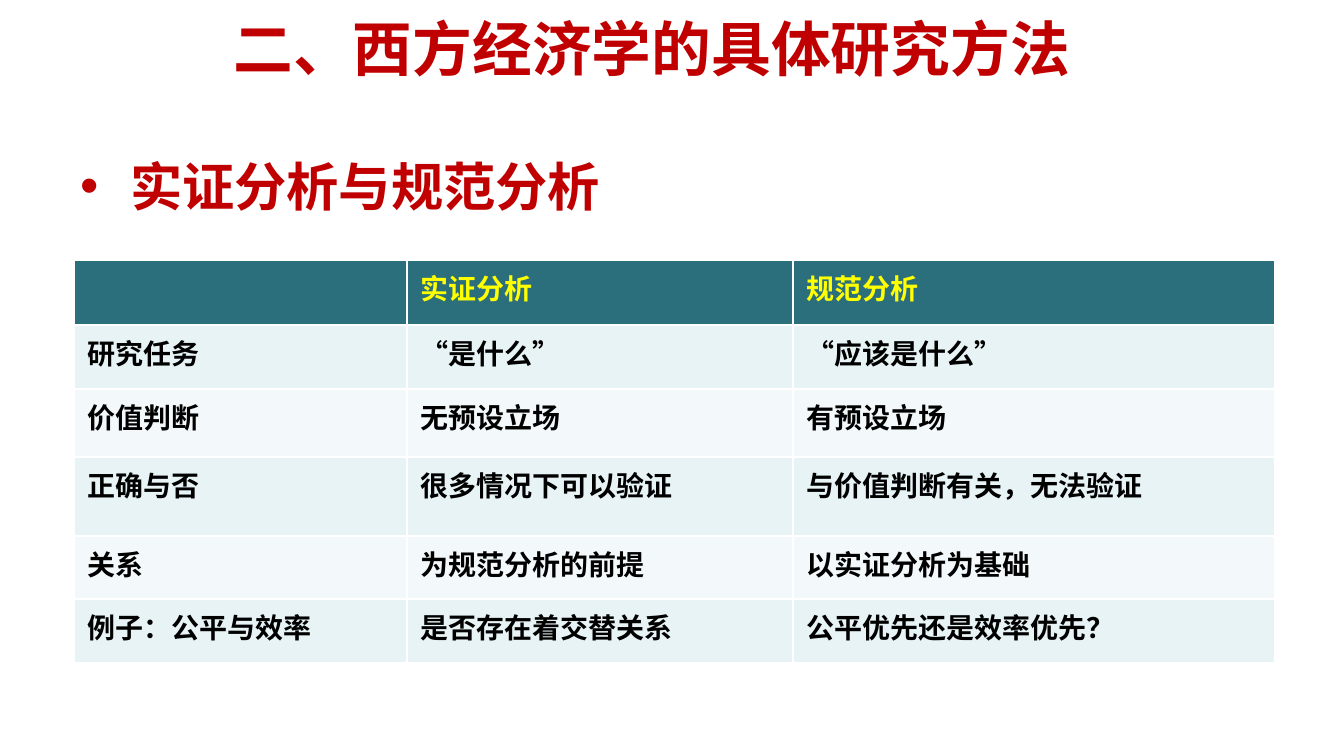
from pptx import Presentation
from pptx.dml.color import RGBColor
from pptx.enum.lang import MSO_LANGUAGE_ID
from pptx.enum.text import MSO_ANCHOR, PP_ALIGN
from pptx.oxml.ns import qn
from pptx.util import Pt
from lxml import etree

CENTER = PP_ALIGN.CENTER
TOP, MIDDLE = MSO_ANCHOR.TOP, MSO_ANCHOR.MIDDLE
CHINESE = MSO_LANGUAGE_ID.SIMPLIFIED_CHINESE

RED = RGBColor(0xC0, 0x00, 0x00)
YELLOW = RGBColor(0xFF, 0xFF, 0x00)
BLACK = RGBColor(0x00, 0x00, 0x00)
TEAL = RGBColor(0x2B, 0x6F, 0x7D)
BANDS = [RGBColor(0xE7, 0xF3, 0xF4), RGBColor(0xF3, 0xF9, 0xFA)]

HAN = "Noto Sans CJK SC"
COLS = [333, 386, 482]
ROWS = [65, 64, 68, 79, 63, 64]
CELLS = [
    ["", "实证分析", "规范分析"],
    ["研究任务", "“是什么”", "“应该是什么”"],
    ["价值判断", "无预设立场", "有预设立场"],
    ["正确与否", "很多情况下可以验证", "与价值判断有关，无法验证"],
    ["关系", "为规范分析的前提", "以实证分析为基础"],
    ["例子：公平与效率", "是否存在着交替关系", "公平优先还是效率优先？"],
]


def px(n):
    return round(n * 914400 / 134.4)


def style(para, size, face, color):
    font = para.font
    font.size, font.name, font.bold = Pt(size), face, True
    font.color.rgb = color
    font.language_id = CHINESE
    # East Asian face, placed right after the Latin one
    props = para._p.pPr.find(qn("a:defRPr"))
    east = etree.Element(qn("a:ea"), typeface=HAN)
    props.find(qn("a:latin")).addnext(east)


def add_text(slide, box, text, size, face, anchor):
    frame = slide.shapes.add_textbox(*map(px, box)).text_frame
    frame.word_wrap = True
    frame.vertical_anchor = anchor
    para = frame.paragraphs[0]
    para.text = text
    style(para, size, face, RED)
    return para


def add_bullet(para, indent):
    props = para._p.get_or_add_pPr()
    props.set("marL", str(px(indent)))
    props.set("indent", str(-px(indent)))
    face = etree.Element(qn("a:buFont"), typeface="Arial")
    mark = etree.Element(qn("a:buChar"), char="•")
    props.find(qn("a:defRPr")).addprevious(face)
    face.addnext(mark)


def add_grid(slide, left, top):
    box = map(px, (left, top, sum(COLS), sum(ROWS)))
    table = slide.shapes.add_table(len(ROWS), len(COLS), *box).table
    for col, width in zip(table.columns, COLS):
        col.width = px(width)
    for i, (row, height) in enumerate(zip(table.rows, ROWS)):
        row.height = px(height)
        for cell, text in zip(row.cells, CELLS[i]):
            cell.fill.solid()
            cell.fill.fore_color.rgb = BANDS[(i - 1) % 2] if i else TEAL
            para = cell.text_frame.paragraphs[0]
            para.text = text
            style(para, 15, "Arial", BLACK if i else YELLOW)


def main():
    prs = Presentation()
    prs.slide_width, prs.slide_height = px(1344), px(756)
    slide = prs.slides.add_slide(prs.slide_layouts[6])

    # Topic bullet
    topic = add_text(slide, (67, 148, 1210, 71), "实证分析与规范分析",
                     28, "Calibri", TOP)
    topic.space_before = Pt(5.6)
    add_bullet(topic, 50)

    # Comparison table
    add_grid(slide, 74, 260)

    # Title
    title = add_text(slide, (47, 0, 1210, 95), "二、西方经济学的具体研究方法",
                     32, HAN, MIDDLE)
    title.alignment = CENTER

    prs.save("out.pptx")


if __name__ == "__main__":
    main()
